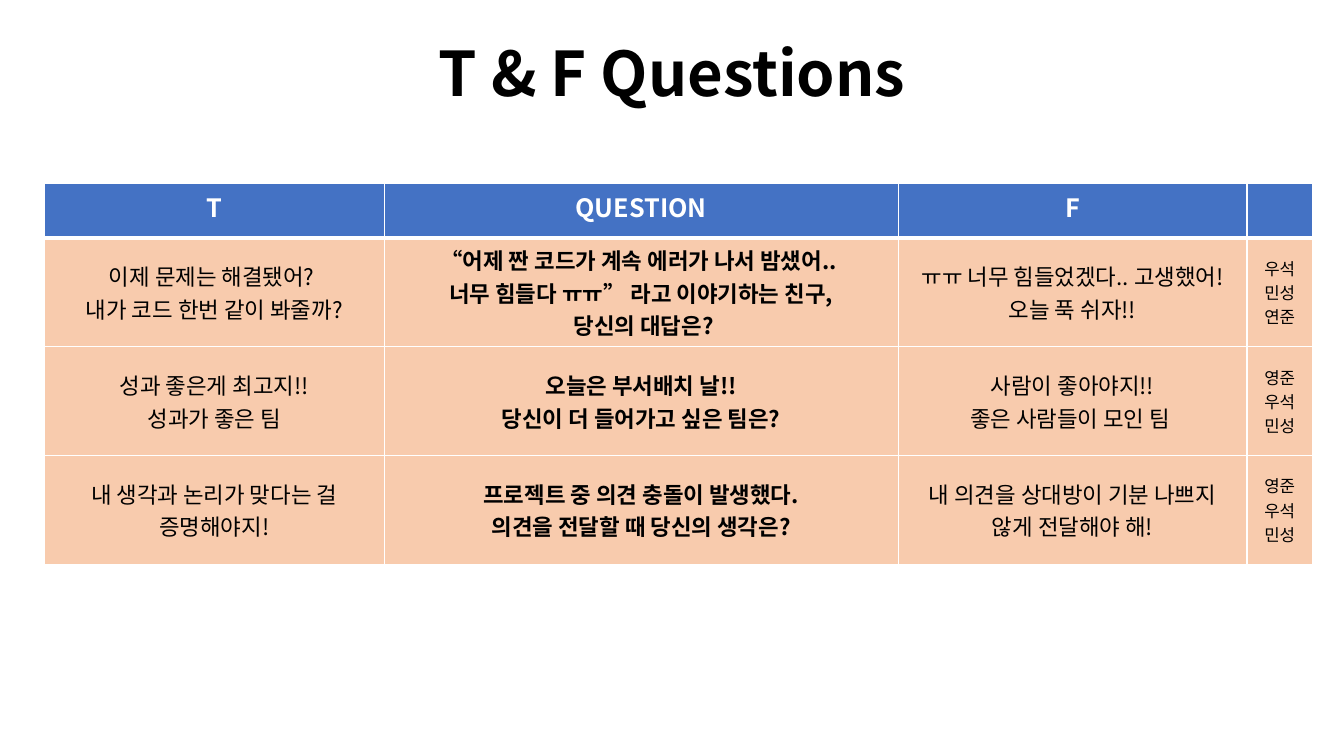
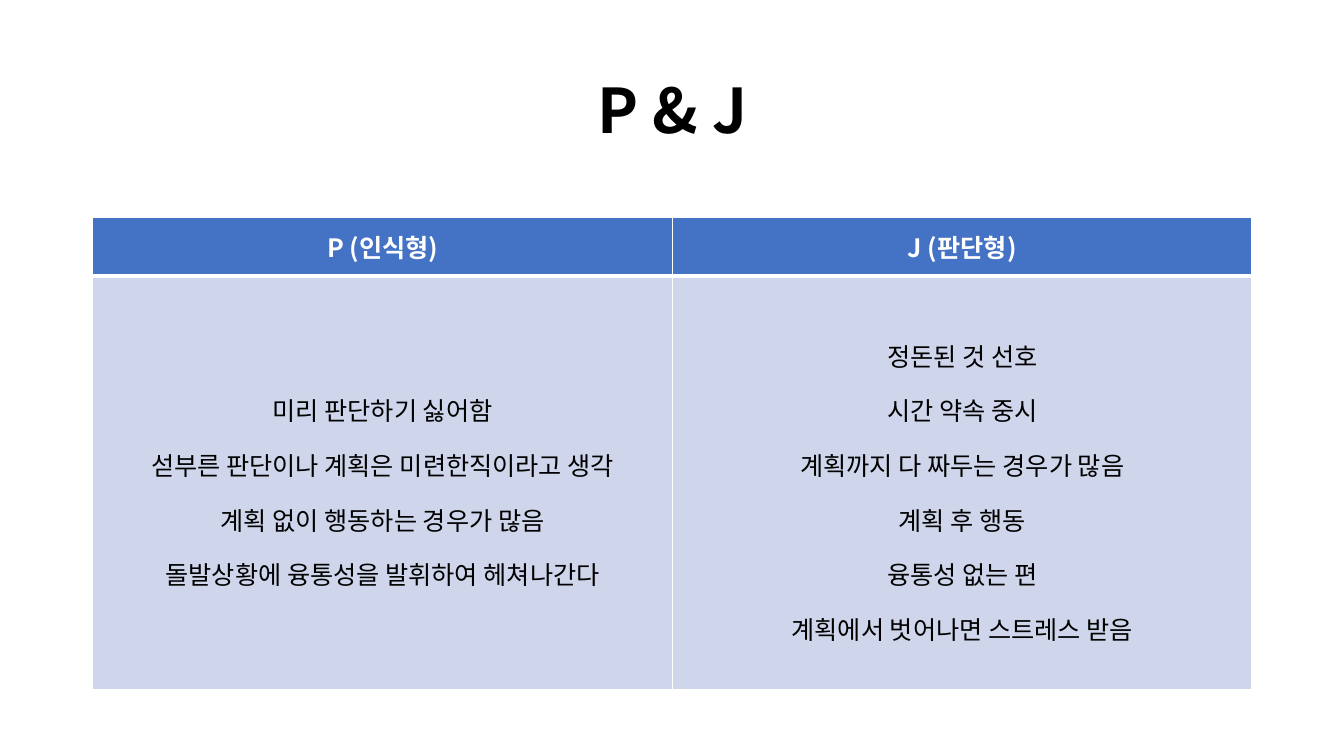
from lxml import etree
from pptx import Presentation, util as u
from pptx.dml.color import RGBColor
from pptx.enum import text
from pptx.oxml.ns import qn


def rgb(hex_code):
    return RGBColor.from_string(hex_code)


def apply(target, values):
    for key, value in values.items():
        setattr(target, key, value)


class Deck:
    """Holds the shared style and the current slide on a 100 by 100 grid."""

    FONT = "Noto Sans CJK KR"
    BLACK, WHITE = "000000", "FFFFFF"
    HEADER, PEACH, LAVENDER = "4472C4", "F8CBAD", "CFD5EA"
    TITLE = {"size": u.Pt(44), "bold": True}
    HEADING = {"size": u.Pt(18), "bold": True}
    MIDDLE = text.MSO_ANCHOR.MIDDLE
    TOP = text.MSO_ANCHOR.TOP

    def __init__(self):
        self.show = Presentation()
        apply(self.show, {"slide_width": u.Inches(13.333), "slide_height": u.Inches(7.5)})

    def x(self, columns):
        return round(self.show.slide_width * columns / 100)

    def y(self, rows):
        return round(self.show.slide_height * rows / 100)

    def add_slide(self, title, top):
        self.slide = self.show.slides.add_slide(self.show.slide_layouts[6])
        heading = self.slide.shapes.add_textbox(self.x(6.9), self.y(top), self.x(86.25), self.y(19.33))
        apply(heading.text_frame, {"word_wrap": True, "vertical_anchor": self.MIDDLE})
        self.add_lines(heading.text_frame, title, self.TITLE, self.BLACK, 0.9)

    def add_lines(self, frame, wording, style, color, spacing=1.0):
        for index, line in enumerate(wording.split("\n")):
            paragraph = frame.add_paragraph() if index else frame.paragraphs[0]
            apply(paragraph, {"alignment": text.PP_ALIGN.CENTER, "line_spacing": spacing})
            if line:
                run = paragraph.add_run()
                run.text = line
                apply(run.font, {"name": self.FONT, **style})
                run.font.color.rgb = rgb(color)
                east_asian = etree.SubElement(run.font._element, qn("a:ea"))
                east_asian.set("typeface", self.FONT)

    def border(self, cell, row):
        weights = {"L": 1, "R": 1, "T": 3 if row == 1 else 1, "B": 1 if row else 3}
        properties = cell._tc.get_or_add_tcPr()
        for side, weight in weights.items():
            edge = etree.SubElement(properties, qn(f"a:ln{side}"), w=str(u.Pt(weight)))
            paint = etree.SubElement(edge, qn("a:solidFill"))
            etree.SubElement(paint, qn("a:srgbClr"), val=self.WHITE)

    def add_table(self, left, top, widths, heights, content, body_fill, body_styles,
                  spacing=1.0, header_anchor=MIDDLE):
        table = self.slide.shapes.add_table(
            len(heights), len(widths), self.x(left), self.y(top),
            self.x(sum(widths)), self.y(sum(heights))).table
        for column, width in zip(table.columns, widths):
            column.width = self.x(width)
        for r, (height, wordings) in enumerate(zip(heights, content)):
            table.rows[r].height = self.y(height)
            for c, (wording, body_style) in enumerate(zip(wordings, body_styles)):
                cell = table.cell(r, c)
                self.border(cell, r)
                cell.fill.solid()
                cell.fill.fore_color.rgb = rgb(body_fill if r else self.HEADER)
                cell.vertical_anchor = self.MIDDLE if r else header_anchor
                if r:
                    self.add_lines(cell.text_frame, wording, body_style, self.BLACK, spacing)
                else:
                    self.add_lines(cell.text_frame, wording, self.HEADING, self.WHITE)


deck = Deck()
answer = {"size": u.Pt(16), "bold": False}
question = {"size": u.Pt(16), "bold": True}
names = {"size": u.Pt(12), "bold": False}
trait = {"size": u.Pt(18), "bold": False}

deck.add_slide("T & F Questions", 0.53)
deck.add_table(
    3.3, 24.27, [25.28, 38.25, 25.95, 4.88], [7.2] + [14.4] * 3,
    [
        ["T", "QUESTION", "F", ""],
        ["이제 문제는 해결됐어? \n내가 코드 한번 같이 봐줄까?",
         "“어제 짠 코드가 계속 에러가 나서 밤샜어.. \n너무 힘들다 ㅠㅠ” 라고 이야기하는 친구,\n 당신의 대답은?",
         "ㅠㅠ 너무 힘들었겠다.. 고생했어!\n오늘 푹 쉬자!!",
         "우석 민성\n연준"],
        ["성과 좋은게 최고지!!\n성과가 좋은 팀",
         "오늘은 부서배치 날!!\n당신이 더 들어가고 싶은 팀은?",
         "사람이 좋아야지!!\n좋은 사람들이 모인 팀 ",
         "영준 우석\n민성"],
        ["내 생각과 논리가 맞다는 걸 증명해야지!",
         "프로젝트 중 의견 충돌이 발생했다.\n의견을 전달할 때 당신의 생각은?",
         "내 의견을 상대방이 기분 나쁘지 않게 전달해야 해!",
         "영준 우석\n민성"],
    ],
    deck.PEACH, [answer, question, answer, names], header_anchor=deck.TOP)

deck.add_slide("P & J", 5.33)
deck.add_table(
    6.9, 28.8, [43.13] * 2, [7.73, 54.67],
    [
        ["P (인식형)", "J (판단형)"],
        ["미리 판단하기 싫어함\n섣부른 판단이나 계획은 미련한직이라고 생각\n"
         "계획 없이 행동하는 경우가 많음\n돌발상황에 융통성을 발휘하여 헤쳐나간다",
         "정돈된 것 선호\n시간 약속 중시\n계획까지 다 짜두는 경우가 많음\n"
         "계획 후 행동\n융통성 없는 편\n계획에서 벗어나면 스트레스 받음"],
    ],
    deck.LAVENDER, [trait] * 2, spacing=1.5)

deck.show.save("out.pptx")
